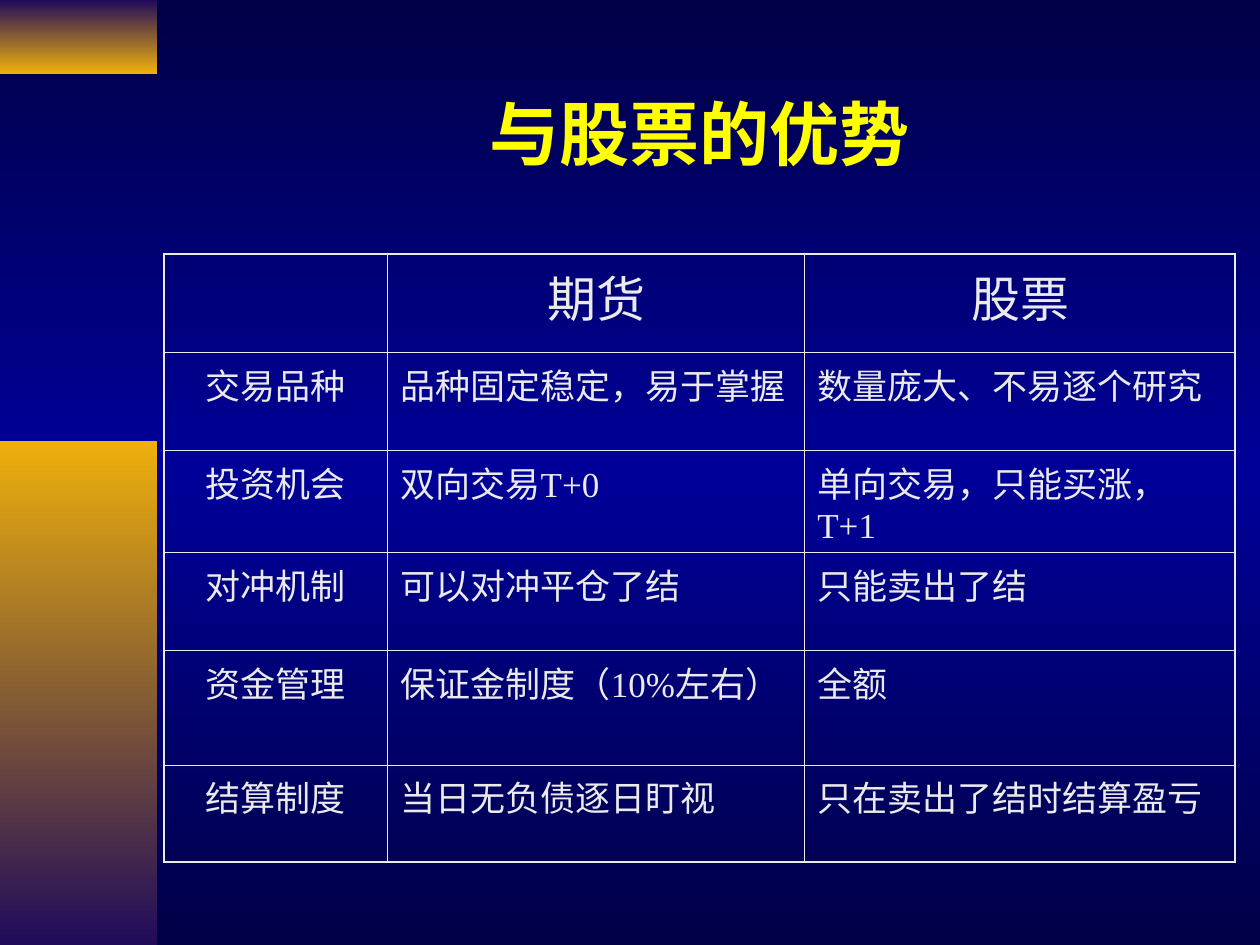
from copy import deepcopy

from lxml.etree import SubElement
from pptx import Presentation
from pptx.dml.color import RGBColor
from pptx.enum.shapes import MSO_SHAPE
from pptx.enum.text import MSO_ANCHOR, PP_ALIGN
from pptx.oxml.ns import qn
from pptx.util import Pt

NIGHT = RGBColor(0x00, 0x00, 0x46)
BLUE = RGBColor(0x00, 0x00, 0x99)
PURPLE = RGBColor(0x20, 0x0B, 0x5B)
GOLD = RGBColor(0xEE, 0xB0, 0x0B)
YELLOW = RGBColor(0xFF, 0xFF, 0x00)
PALE = RGBColor(0xEA, 0xEA, 0xEA)

TITLE = {"name": "Times New Roman", "size": Pt(40), "bold": True}
HEADER = {"name": "Times New Roman", "size": Pt(28), "bold": False}
BODY = {"name": "Times New Roman", "size": Pt(20), "bold": False}

THIN, THICK = 0.45, 1.08
COL_WIDTHS = (128, 238.3, 246)
ROW_HEIGHTS = (56, 56, 58.5, 56, 65.5, 55.5)
ROWS = (
    ("", "期货", "股票"),
    ("交易品种", "品种固定稳定，易于掌握", "数量庞大、不易逐个研究"),
    ("投资机会", "双向交易T+0", "单向交易，只能买涨，T+1"),
    ("对冲机制", "可以对冲平仓了结", "只能卖出了结"),
    ("资金管理", "保证金制度（10%左右）", "全额"),
    ("结算制度", "当日无负债逐日盯视", "只在卖出了结时结算盈亏"),
)


def set_gradient(fill, element, colors):
    """Fill from top to bottom with evenly spaced colours."""
    fill.gradient()
    fill.gradient_angle = 270
    stops = element.find(".//" + qn("a:gsLst"))
    for _ in colors[2:]:
        stops.append(deepcopy(stops[0]))
    for i, (stop, color) in enumerate(zip(fill.gradient_stops, colors)):
        stop.position = i / (len(colors) - 1)
        stop.color.rgb = color


def add_band(s, top, height, colors):
    """Add a gradient block at the left edge."""
    sp = s.shapes.add_shape(MSO_SHAPE.RECTANGLE, 0, Pt(top), Pt(90), Pt(height))
    sp.shadow.inherit = False
    sp.line.fill.background()
    set_gradient(sp.fill, sp._element, colors)


def write(tf, text, font, color, align, before=0):
    """Write one formatted paragraph."""
    p = tf.paragraphs[0]
    p.alignment = align
    p.space_before = Pt(before)
    r = p.add_run()
    r.text = text
    for key, value in font.items():
        setattr(r.font, key, value)
    r.font.color.rgb = color


def add_title(s, text):
    """Add the centred slide title."""
    tf = s.shapes.add_textbox(Pt(93.6), Pt(43.2), Pt(612), Pt(64.8)).text_frame
    tf.word_wrap = True
    tf.vertical_anchor = MSO_ANCHOR.MIDDLE
    write(tf, text, TITLE, YELLOW, PP_ALIGN.CENTER)


def set_borders(cell, widths):
    """Draw the cell borders from a side-to-width mapping."""
    tc_pr = cell._tc.get_or_add_tcPr()
    for side, width in widths.items():
        ln = SubElement(tc_pr, qn(f"a:ln{side}"), w=str(Pt(width)))
        SubElement(SubElement(ln, qn("a:solidFill")), qn("a:srgbClr"), val=str(PALE))


def add_comparison(s):
    """Add the table comparing futures with stocks."""
    last_row, last_col = len(ROWS) - 1, len(COL_WIDTHS) - 1
    table = s.shapes.add_table(
        len(ROWS), len(COL_WIDTHS), Pt(93.6), Pt(145.2),
        Pt(sum(COL_WIDTHS)), Pt(sum(ROW_HEIGHTS))).table
    table.first_row = table.horz_banding = False
    for col, width in zip(table.columns, COL_WIDTHS):
        col.width = Pt(width)
    for i, texts in enumerate(ROWS):
        table.rows[i].height = Pt(ROW_HEIGHTS[i])
        for j, text in enumerate(texts):
            cell = table.cell(i, j)
            set_borders(cell, {
                "L": THICK if j == 0 else THIN,
                "R": THICK if j == last_col else THIN,
                "T": THICK if i == 0 else THIN,
                "B": THICK if i == last_row else THIN,
            })
            cell.fill.background()
            if text:
                align = PP_ALIGN.CENTER if i == 0 or j == 0 else PP_ALIGN.LEFT
                font, before = (HEADER, 7) if i == 0 else (BODY, 5)
                write(cell.text_frame, text, font, PALE, align, before)


def main():
    """Build and save the slide."""
    prs = Presentation()
    prs.slide_width, prs.slide_height = Pt(720), Pt(540)
    s = prs.slides.add_slide(prs.slide_layouts[6])
    set_gradient(s.background.fill, s._element, (NIGHT, BLUE, NIGHT))
    add_band(s, 0, 42, (PURPLE, GOLD))
    add_band(s, 252, 288, (GOLD, PURPLE))
    add_title(s, "与股票的优势")
    add_comparison(s)
    prs.save("out.pptx")


if __name__ == "__main__":
    main()
